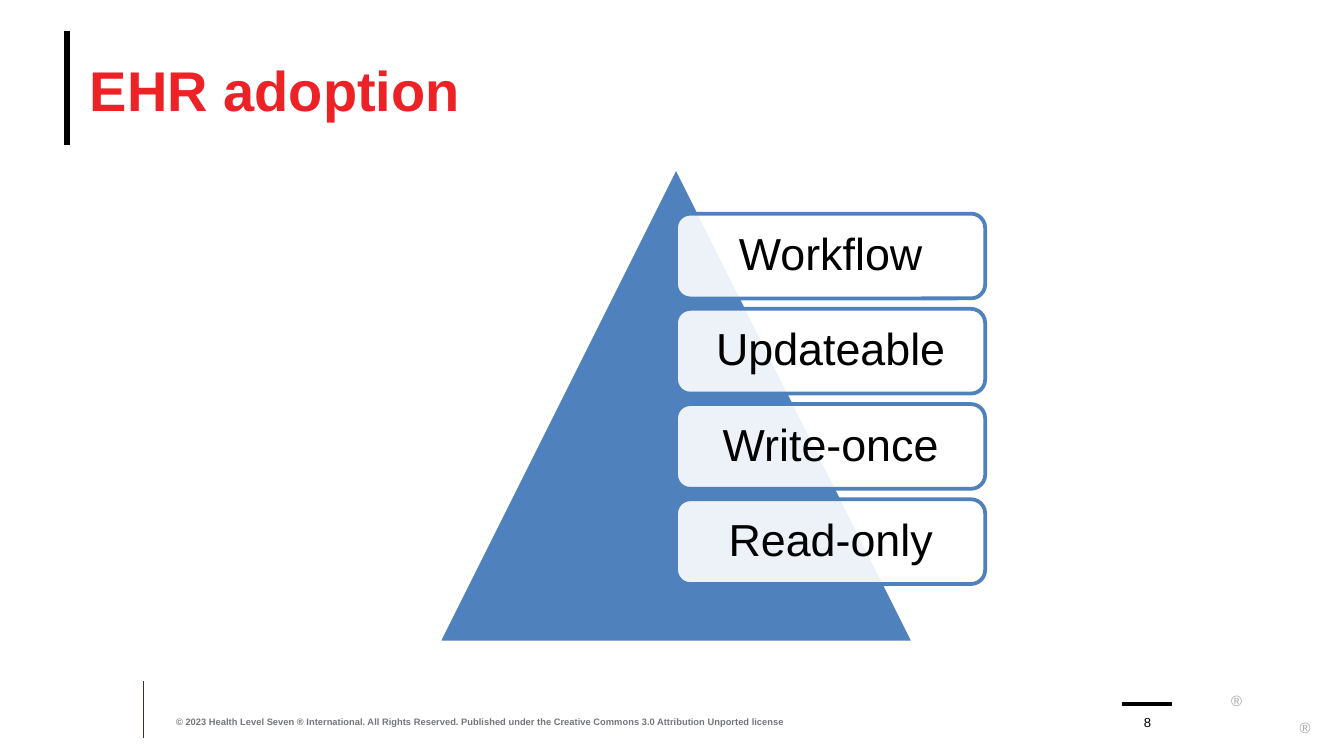
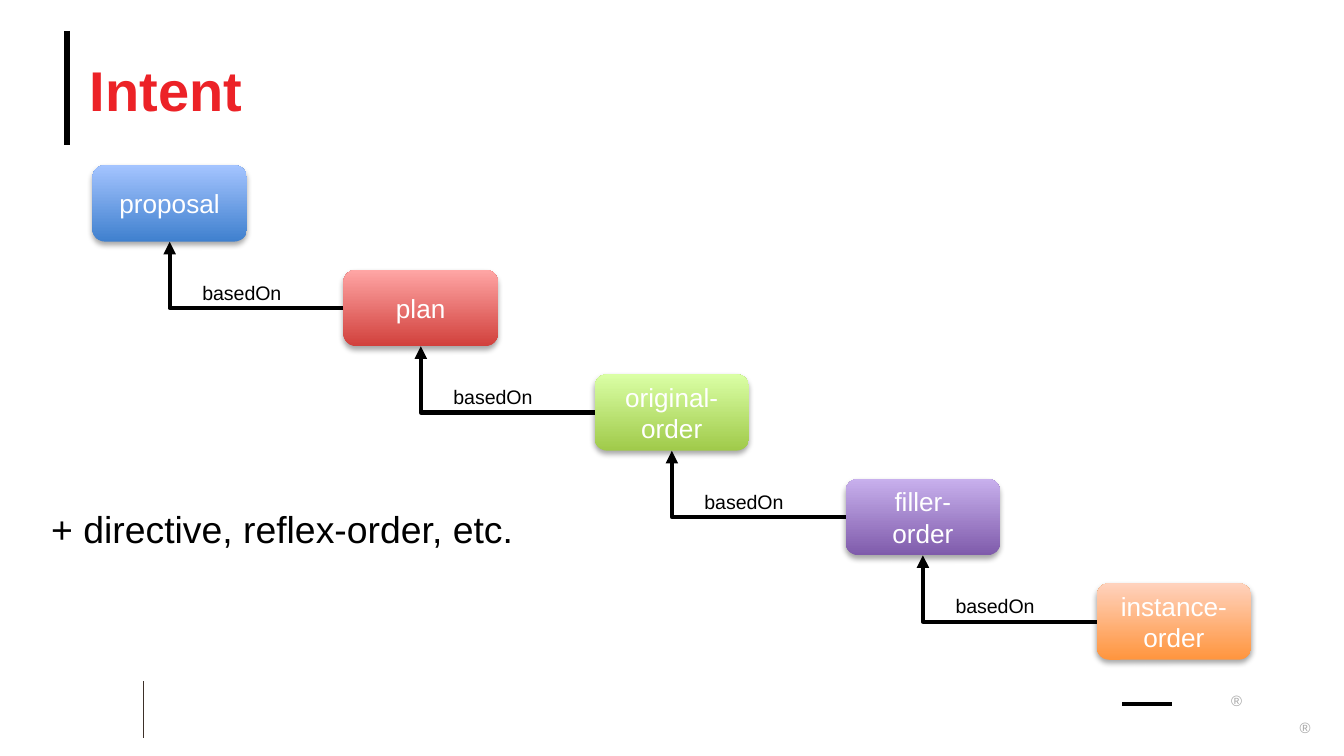
from lxml.etree import SubElement
from pptx import Presentation
from pptx.dml.color import RGBColor
from pptx.enum.shapes import MSO_CONNECTOR, MSO_SHAPE
from pptx.enum.text import MSO_ANCHOR, PP_ALIGN
from pptx.oxml.ns import qn
from pptx.util import Pt

FONT = "Arial"
BLACK, WHITE, RED, BLUE = "000000", "FFFFFF", "EC2227", "4F81BD"
BROWN, GREY, MARK_GREY = "3D3029", "747679", "A6A6A6"

RULES = [
    ((36, 16.5), (36, 77.8), BLACK, 3.25),
    ((77, 365), (77, 395.3), BROWN, 0.5),
    ((601.2, 377.2), (627.8, 377.2), BLACK, 2),
]
MARKS = [(659.5, 367.2), (696.2, 381.6)]

COPYRIGHT = ("© 2023 Health Level Seven ® International. All Rights Reserved. "
             "Published under the Creative Commons 3.0 Attribution Unported license")
LEVELS = ["Workflow", "Updateable", "Write-once", "Read-only"]

STAGES = [
    (["proposal"], "3F80CE", "A4C4FF"),
    (["plan"], "D1403C", "FFA6A5"),
    (["original-", "order"], "A0CA4A", "DAFFA5"),
    (["filler-", "order"], "7F5BAB", "C8B0ED"),
    (["instance-", "order"], "FF953E", "FFD2BD"),
]
LINK = "basedOn"
OTHERS = "+ directive, reflex-order, etc."


def rgb(color):
    return RGBColor.from_string(color)


def write(tf, lines, size, color, bold=False, align=PP_ALIGN.LEFT,
          anchor=MSO_ANCHOR.TOP, insets=None, wrap=True, spacing=None):
    tf.word_wrap = wrap
    tf.vertical_anchor = anchor
    if insets:
        tf.margin_left, tf.margin_top, tf.margin_right, tf.margin_bottom = map(Pt, insets)
    for i, line in enumerate(lines):
        p = tf.add_paragraph() if i else tf.paragraphs[0]
        p.text = line
        p.alignment = align
        if spacing:
            p.line_spacing = spacing
        p.font.name, p.font.size, p.font.bold = FONT, Pt(size), bold
        p.font.color.rgb = rgb(color)


def add_text(s, box, text, size, color, **style):
    write(s.shapes.add_textbox(*map(Pt, box)).text_frame, [text], size, color, **style)


def add_box(s, kind, box):
    sp = s.shapes.add_shape(kind, *map(Pt, box))
    sp.shadow.inherit = False
    return sp


def add_line(s, kind, start, end, color, width):
    c = s.shapes.add_connector(kind, *map(Pt, start + end))
    c.line.color.rgb = rgb(color)
    c.line.width = Pt(width)
    SubElement(c._element.spPr, qn("a:effectLst"))
    return c


def add_slide(prs, title):
    s = prs.slides.add_slide(prs.slide_layouts[5])
    for start, end, color, width in RULES:
        add_line(s, MSO_CONNECTOR.STRAIGHT, start, end, color, width)
    for x, y in MARKS:
        add_text(s, (x, y, 8, 6.5), "®", 8, MARK_GREY, insets=(0, 3.6, 0, 0), wrap=False)
    sp = s.shapes.title
    sp.left, sp.top, sp.width, sp.height = map(Pt, (48.2, 16.5, 648, 62))
    write(sp.text_frame, [title], 30, RED, bold=True,
          anchor=MSO_ANCHOR.MIDDLE, insets=(0, 0, 0, 0))
    return s


def add_level(s, i, label):
    sp = add_box(s, MSO_SHAPE.ROUNDED_RECTANGLE, (362.2, 114.5 + i * 51, 165.6, 45.4))
    sp.fill.solid()
    sp.fill.fore_color.rgb = rgb(WHITE)
    color = sp._element.spPr.find(qn("a:solidFill")).find(qn("a:srgbClr"))
    SubElement(color, qn("a:alpha"), val="90000")
    sp.line.color.rgb = rgb(BLUE)
    sp.line.width = Pt(2)
    write(sp.text_frame, [label], 24, BLACK, align=PP_ALIGN.CENTER,
          anchor=MSO_ANCHOR.MIDDLE, insets=(7.2,) * 4, spacing=0.9)


def add_stage(s, x, y, lines, dark, light):
    sp = add_box(s, MSO_SHAPE.ROUNDED_RECTANGLE, (x, y, 82.8, 41))
    sp.fill.gradient()
    sp.fill.gradient_angle = 90
    for stop, color in zip(sp.fill.gradient_stops, (dark, light)):
        stop.color.rgb = rgb(color)
    sp.line.fill.background()
    effects = sp._element.spPr.find(qn("a:effectLst"))
    shadow = SubElement(effects, qn("a:outerShdw"), blurRad=str(Pt(3.1)),
                        dist=str(Pt(1.8)), dir="5400000", rotWithShape="0")
    color = SubElement(shadow, qn("a:srgbClr"), val=BLACK)
    SubElement(color, qn("a:alpha"), val="35000")
    write(sp.text_frame, lines, 14, WHITE, align=PP_ALIGN.CENTER, anchor=MSO_ANCHOR.MIDDLE)
    return sp


def link_stages(s, later, earlier):
    c = add_line(s, MSO_CONNECTOR.ELBOW, (0, 0), (0, 0), BLACK, 2.25)
    c.begin_connect(later, 1)
    c.end_connect(earlier, 2)
    spPr = c._element.spPr
    spPr.find(qn("a:prstGeom")).set("prst", "bentConnector2")
    xfrm = spPr.find(qn("a:xfrm"))
    for flip in ("flipH", "flipV"):
        xfrm.attrib.pop(flip, None)
    xfrm.set("rot", "10800000")
    SubElement(spPr.find(qn("a:ln")), qn("a:tailEnd"), type="triangle")


def build_adoption(prs):
    s = add_slide(prs, "EHR adoption")
    add_text(s, (94.3, 377.3, 356.4, 12.2), COPYRIGHT, 5, GREY, bold=True,
             anchor=MSO_ANCHOR.BOTTOM, insets=(0, 0, 0, 0))
    add_text(s, (604, 377.3, 21.6, 13.7), "8", 7, BLACK, align=PP_ALIGN.CENTER,
             anchor=MSO_ANCHOR.BOTTOM, insets=(0, 0, 0, 0))
    pyramid = add_box(s, MSO_SHAPE.ISOSCELES_TRIANGLE, (234.7, 89.3, 255, 255))
    pyramid.fill.solid()
    pyramid.fill.fore_color.rgb = rgb(BLUE)
    pyramid.line.color.rgb = rgb(WHITE)
    pyramid.line.width = Pt(2)
    for i, label in enumerate(LEVELS):
        add_level(s, i, label)


def build_intent(prs):
    s = add_slide(prs, "Intent")
    add_text(s, (27.4, 271.4, 291, 41), OTHERS, 20, BLACK, insets=(0, 0, 0, 0))
    spots = [(49.5 + i * 134.5, 88.5 + i * 56) for i in range(len(STAGES))]
    stages = [add_stage(s, *spot, *stage) for spot, stage in zip(spots, STAGES)]
    for earlier, later in zip(stages, stages[1:]):
        link_stages(s, later, earlier)
    for x, y in spots[:-1]:
        add_text(s, (x + 51.8, y + 58.3, 63.4, 20), LINK, 10.5, BLACK)


def main():
    prs = Presentation()
    prs.slide_width, prs.slide_height = Pt(720), Pt(405)
    build_adoption(prs)
    build_intent(prs)
    prs.save("out.pptx")


if __name__ == "__main__":
    main()
